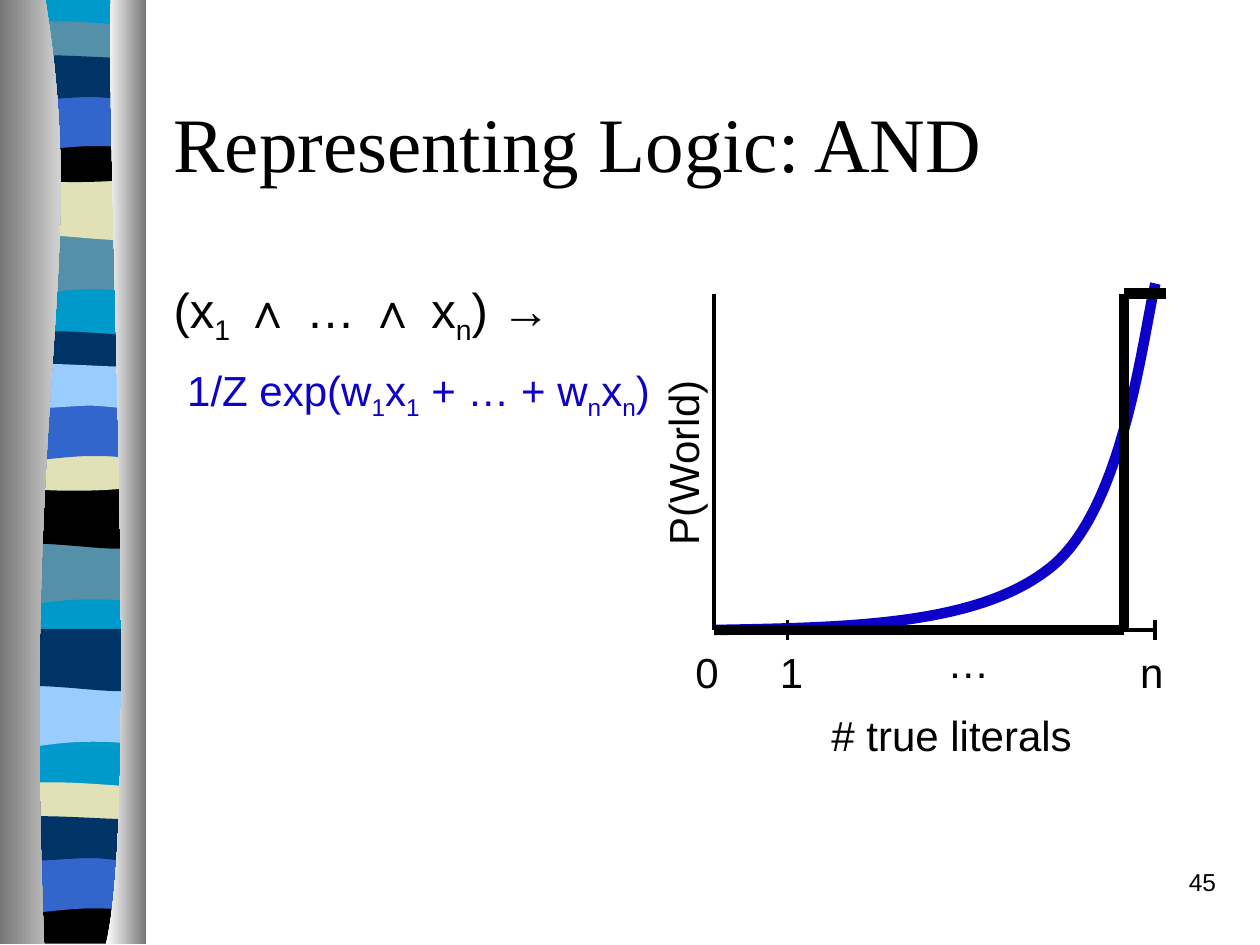
from lxml.etree import SubElement
from pptx import Presentation
from pptx.dml.color import RGBColor
from pptx.enum.shapes import MSO_CONNECTOR
from pptx.enum.text import MSO_ANCHOR, PP_ALIGN
from pptx.oxml.ns import qn
from pptx.util import Inches, Pt

BLACK, INDIGO, NAVY, BLUE = "000000", "0C00C9", "003366", "3366CC"
CYAN, SLATE, CREAM, SKY = "0099CC", "5490A8", "E1E1B7", "99CCFF"
GREY, WHITE = "767676", "FFFFFF"

FLAT = [(1.08, 0), (1.08, 7.47), (0, 7.47), (0, 0)]
FOOT = [(1.08, 0), (1.08, 0.37), (0, 0.37), (0, 0), (0.66, 0.05, 0.85, 0, 1.08, 0)]
WAVE = [(1.08, 0), (1.08, 0.47), (0.33, 0.39, 0.18, 0.55, 0, 0.47), (0, 0)]
DRAPE = [(1.08, 0), (1.08, 0.47), (0.9, 0.55, 0.33, 0.41, 0, 0.47), (0, 0)]
STRIP = [(1.08, 0.05), (1.08, 0.29), (0.9, 0.33, 0.18, 0.33, 0, 0.29), (0, 0.05),
         (0.06, 0, 0.23, 0.01, 0.41, 0.01), (0.59, 0.01, 0.94, 0.04, 1.08, 0.05)]
SWELL = [(1.08, 0), (1.08, 0.32), (0.9, 0.38, 0.18, 0.38, 0, 0.32), (0, 0),
         (0.66, 0.05, 0.85, 0, 1.08, 0)]
ARCH = [(1.08, 0), (1.08, 0.47), (0.91, 0.42, 0.84, 0.42, 0.66, 0.42),
        (0.48, 0.42, 0.16, 0.47, 0, 0.47), (0, 0)]
RIBBON = [(1.08, 0.05), (1.08, 0.36), (1.01, 0.41, 0.84, 0.36, 0.66, 0.36),
          (0.48, 0.36, 0.11, 0.41, 0, 0.36), (0, 0.05),
          (0.15, 0, 0.73, 0.05, 0.91, 0.05), (1.09, 0.05, 1.04, 0.05, 1.08, 0.05)]
UPPER, MIDDLE = 0.06, 0.05
BANDS = [
    (UPPER, [(FLAT, 0, CYAN), (WAVE, 1.85, SLATE), (DRAPE, 1.41, CREAM),
             (STRIP, 0.16, SLATE), (SWELL, 1.08, BLACK), (ARCH, 0.74, BLUE),
             (RIBBON, 0.41, NAVY)]),
    (MIDDLE, [(WAVE, 4.31, SLATE), (DRAPE, 3.86, BLACK), (STRIP, 2.62, NAVY),
              (SWELL, 3.53, CREAM), (ARCH, 3.2, BLUE), (RIBBON, 2.86, SKY)]),
    (UPPER, [(WAVE, 5.44, SKY), (DRAPE, 4.99, NAVY)]),
    (MIDDLE, [(STRIP, 6.2, CREAM), (FOOT, 7.12, BLACK), (ARCH, 6.79, BLUE),
              (RIBBON, 6.45, NAVY)]),
]
LEFT_PILLAR = [(0.36, 0), (0.71, 2.16, 0.17, 2.96, 0.35, 7.49), (0, 7.49), (0, 0)]
RIGHT_PILLAR = [(0.88, 0), (0.84, 1.25, 1.11, 6.46, 0.84, 7.49), (1.16, 7.49), (1.16, 0)]


def color(value):
    return RGBColor.from_string(value)


def add_outline(slide, left, top, segments, close=True):
    places = [(Inches(left + x), Inches(top + y))
              for segment in segments
              for x, y in zip(segment[::2], segment[1::2])]
    builder = slide.shapes.build_freeform(*places[0])
    builder.add_line_segments(places[1:], close=close)
    shape = builder.convert_to_shape()
    shape.shadow.inherit = False
    steps = iter(shape._element.findall(".//" + qn("a:lnTo")))
    for segment in segments[1:]:
        step = next(steps)
        if len(segment) == 6:
            step.tag = qn("a:cubicBezTo")
            for _ in range(2):
                control = next(steps)
                step.append(control[0])
                control.getparent().remove(control)
    return shape


def add_line(slide, start, end, width):
    line = slide.shapes.add_connector(
        MSO_CONNECTOR.STRAIGHT, *[Inches(value) for value in (*start, *end)])
    line.line.color.rgb = color(BLACK)
    line.line.width = Pt(width)
    SubElement(line._element.spPr, qn("a:effectLst"))


def add_run(paragraph, text, size, font="Arial", fill=BLACK, subscript=False):
    run = paragraph.add_run()
    run.text = text
    run.font.size = Pt(size)
    run.font.name = font
    run.font.color.rgb = color(fill)
    if subscript:
        run.font._element.set("baseline", "-25000")


def add_text_box(slide, left, top, width, height, wrap=True):
    shape = slide.shapes.add_textbox(Inches(left), Inches(top), Inches(width), Inches(height))
    shape.text_frame.word_wrap = wrap
    return shape


def add_label(slide, text, left, top, width, rotation=0):
    shape = add_text_box(slide, left, top, width, 0.5, wrap=False)
    shape.rotation = rotation
    add_run(shape.text_frame.paragraphs[0], text, 24)


def add_border(slide, left, top):
    for inset, bands in BANDS:
        for outline, offset, fill in bands:
            band = add_outline(slide, left + inset, top + offset, outline)
            band.fill.solid()
            band.fill.fore_color.rgb = color(fill)
            band.line.fill.background()
    for outline, shades in ((LEFT_PILLAR, (GREY, WHITE)), (RIGHT_PILLAR, (WHITE, GREY))):
        pillar = add_outline(slide, left, top, outline)
        pillar.fill.gradient()
        pillar.fill.gradient_angle = 0
        for stop, shade in zip(pillar.fill.gradient_stops, shades):
            stop.color.rgb = color(shade)
        pillar.line.fill.background()


def add_title(slide, left, top, width, height):
    frame = add_text_box(slide, left, top, width, height).text_frame
    frame.vertical_anchor = MSO_ANCHOR.MIDDLE
    add_run(frame.paragraphs[0], "Representing Logic: AND", 44, "Times New Roman")


def add_formula(slide, left, top, width, height):
    frame = add_text_box(slide, left, top, width, height).text_frame
    premise = frame.paragraphs[0]
    for text, subscript in (("(x", False), ("1", True), (" ∧ … ∧ x", False),
                            ("n", True), (") →", False)):
        add_run(premise, text, 28, subscript=subscript)
    weight = frame.add_paragraph()
    weight.space_before = Pt(6)
    add_run(weight, " ", 28, fill=INDIGO)
    for text, subscript in (("1/Z exp(w", False), ("1", True), ("x", False), ("1", True),
                            (" + … + w", False), ("n", True), ("x", False), ("n", True),
                            (")", False)):
        add_run(weight, text, 24, fill=INDIGO, subscript=subscript)
    for paragraph in frame.paragraphs:
        properties = paragraph._p.get_or_add_pPr()
        properties.set("marL", str(Inches(0.38)))
        properties.set("indent", str(Inches(-0.38)))


def add_probability_plot(slide, left, top, width, height):
    right, bottom = left + width, top + height
    step = right - 0.25
    add_line(slide, (left, top), (left, bottom), 2.25)
    add_line(slide, (left, bottom), (right, bottom), 2.25)
    for tick in (left + 0.58, right):
        add_line(slide, (tick, bottom - 0.08), (tick, bottom + 0.08), 2.25)

    add_label(slide, "0", left - 0.25, bottom + 0.08, 0.38)
    add_label(slide, "1", left + 0.42, bottom + 0.08, 0.38)
    add_label(slide, "n", right - 0.22, bottom + 0.08, 0.38)
    add_label(slide, "…", left + width / 2, bottom, 0.53)
    add_label(slide, "P(World)", left - 1.01, top + 1.09, 1.51, rotation=270)
    add_label(slide, "# true literals", left + 0.83, bottom + 0.58, 2.11)

    curve = add_outline(slide, left, bottom, [
        (0, 0), (1.04, -0.02, 2.08, -0.03, 2.66, -0.49),
        (3.25, -0.95, 3.4, -2.34, 3.5, -2.75)], close=False)
    curve.fill.background()
    curve.line.color.rgb = color(INDIGO)
    curve.line.width = Pt(6)

    corners = [(left, bottom), (step, bottom), (step, top), (right + 0.08, top)]
    for start, end in zip(corners, corners[1:]):
        add_line(slide, start, end, 6)


def add_page_number(slide, left, top, width, height):
    paragraph = add_text_box(slide, left, top, width, height).text_frame.paragraphs[0]
    paragraph.alignment = PP_ALIGN.RIGHT
    add_run(paragraph, "45", 14)


def main():
    presentation = Presentation()
    presentation.slide_width = Inches(10)
    presentation.slide_height = Inches(7.5)
    slide = presentation.slides.add_slide(presentation.slide_layouts[6])
    add_border(slide, 0, 0)
    add_title(slide, 1.28, 0.5, 8.5, 1.25)
    add_formula(slide, 1.28, 2.17, 4.17, 4.5)
    add_probability_plot(slide, 5.67, 2.33, 3.5, 2.67)
    add_page_number(slide, 7.67, 6.83, 2.08, 0.5)
    presentation.save("out.pptx")


if __name__ == "__main__":
    main()
